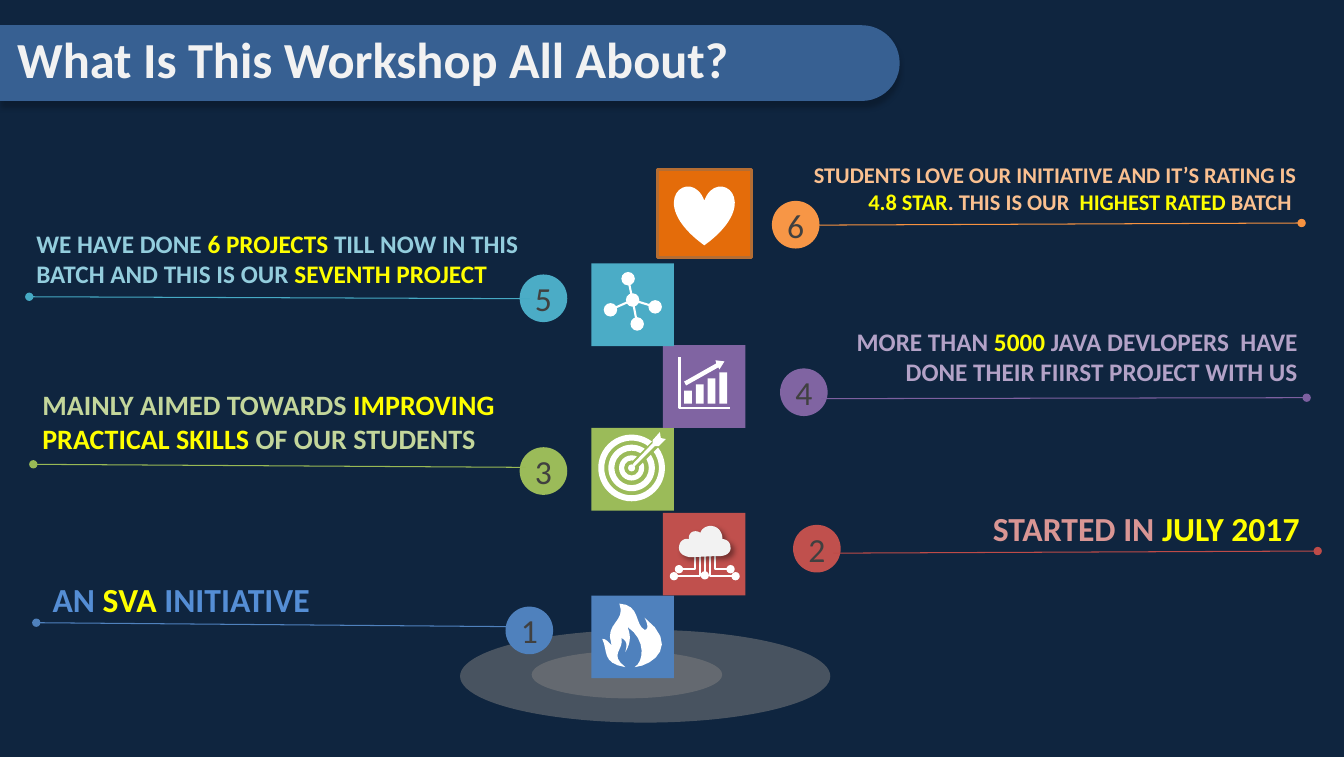
from collections import namedtuple

from lxml import etree
from pptx import Presentation
from pptx.dml.color import RGBColor
from pptx.enum.shapes import MSO_CONNECTOR, MSO_SHAPE
from pptx.enum.text import MSO_ANCHOR, MSO_AUTO_SIZE, PP_ALIGN
from pptx.oxml.ns import qn
from pptx.util import Pt

OVAL, RECT, DONUT = MSO_SHAPE.OVAL, MSO_SHAPE.RECTANGLE, MSO_SHAPE.DONUT
HEART, BANNER = MSO_SHAPE.HEART, MSO_SHAPE.ROUND_2_SAME_RECTANGLE
STRAIGHT = MSO_CONNECTOR.STRAIGHT
LEFT, RIGHT, CENTER = PP_ALIGN.LEFT, PP_ALIGN.RIGHT, PP_ALIGN.CENTER
TOP, MIDDLE = MSO_ANCHOR.TOP, MSO_ANCHOR.MIDDLE
NO_FIT = MSO_AUTO_SIZE.NONE

NAVY = RGBColor(0x0F, 0x25, 0x3F)
BANNER_BLUE = RGBColor(0x37, 0x60, 0x92)
OFF_WHITE = RGBColor(0xF2, 0xF2, 0xF2)
WHITE = RGBColor(0xFF, 0xFF, 0xFF)
YELLOW = RGBColor(0xFF, 0xFF, 0x00)
GRAY = RGBColor(0x80, 0x80, 0x80)
DARK_GRAY = RGBColor(0x40, 0x40, 0x40)
BLUE, LIGHT_BLUE = RGBColor(0x4F, 0x81, 0xBD), RGBColor(0x55, 0x8E, 0xD5)
RED, LIGHT_RED = RGBColor(0xC0, 0x50, 0x4D), RGBColor(0xD9, 0x96, 0x94)
RED_LINE = RGBColor(0xBE, 0x4B, 0x48)
GREEN, LIGHT_GREEN = RGBColor(0x9B, 0xBB, 0x59), RGBColor(0xC3, 0xD6, 0x9B)
GREEN_LINE = RGBColor(0x98, 0xB9, 0x55)
PURPLE, LIGHT_PURPLE = RGBColor(0x80, 0x64, 0xA2), RGBColor(0xB3, 0xA2, 0xC7)
PURPLE_LINE = RGBColor(0x7D, 0x60, 0xA0)
TEAL, LIGHT_TEAL = RGBColor(0x4B, 0xAC, 0xC6), RGBColor(0x93, 0xCD, 0xDD)
TEAL_LINE = RGBColor(0x46, 0xAA, 0xC4)
ORANGE, LIGHT_ORANGE = RGBColor(0xF7, 0x96, 0x46), RGBColor(0xFA, 0xC0, 0x90)
ORANGE_LINE = RGBColor(0xF6, 0x92, 0x40)
DEEP_ORANGE, BROWN = RGBColor(0xE4, 0x6C, 0x0A), RGBColor(0xB4, 0x6D, 0x33)

Step = namedtuple("Step", "fill rule light badge start dot box size align text")
STEPS = [
    Step(BLUE, BLUE, LIGHT_BLUE, (360.7, 432.7), (371.5, 447.1), (25.9, 444.2),
         (28.8, 409.7, 195.8, 31), 24, RIGHT, "AN |SVA| INITIATIVE "),
    Step(RED, RED_LINE, LIGHT_RED, (565.9, 374.4), (594.7, 394.6), (940.3, 393.1),
         (561.6, 358.6, 369.4, 31), 24, RIGHT, "STARTED IN |JULY 2017"),
    Step(GREEN, GREEN_LINE, LIGHT_GREEN, (370.8, 319), (375.1, 333.4), (23.8, 331.2),
         (26.6, 272.9, 375.8, 51), 20, LEFT,
         "MAINLY AIMED TOWARDS |IMPROVING PRACTICAL SKILLS |OF OUR STUDENTS"),
    Step(PURPLE, PURPLE_LINE, LIGHT_PURPLE, (556.6, 262.8), (586.1, 284.4), (932.4, 283.7),
         (560.2, 229, 369.4, 49), 18, RIGHT,
         "MORE THAN |5000| JAVA DEVLOPERS  HAVE DONE THEIR FIIRST PROJECT WITH US"),
    Step(TEAL, TEAL_LINE, LIGHT_TEAL, (370.8, 195.8), (378, 213.1), (20.9, 211.7),
         (22.3, 159.1, 369.4, 51), 18, LEFT,
         "WE HAVE DONE |6 PROJECTS |TILL NOW IN THIS BATCH AND THIS IS OUR |SEVENTH PROJECT"),
    Step(ORANGE, ORANGE_LINE, LIGHT_ORANGE, (550.8, 143.3), (583.2, 160.6), (928.8, 159.1),
         (561.6, 111.6, 367.2, 44), 16, RIGHT,
         "STUDENTS LOVE OUR INITIATIVE AND IT’S RATING IS |4.8 STAR|. THIS IS OUR  "
         "|HIGHEST RATED |BATCH "),
]
TILES = [(421.9, 424.8, BLUE), (473, 365.8, RED), (421.9, 305.3, GREEN),
         (473, 246.2, PURPLE), (421.9, 187.9, TEAL)]
FLAME = [(23, 63), (-1, 59, 6, 47, 0, 35), (5, 34, 11, 45, 9, 40), (2, 19, 24, 18, 17, 0),
         (38, 1, 32, 21, 42, 26), (44, 26, 47, 24, 42, 14), (76, 40, 52, 61, 32, 63),
         (41, 58, 44, 36, 25, 23), (30, 35, 26, 42, 23, 48), (23, 45, 27, 38, 19, 34),
         (22, 46, 6, 50, 23, 63)]
CLOUD = [(32, 0), (41, 1, 43, 9, 43, 13), (51, 14, 51, 20, 51, 23), (50, 29, 43, 30, 40, 30),
         (30, 30, 20, 31, 10, 31), (6, 30, 3, 29, 1, 26), (-1, 23, 0, 19, 1, 17),
         (2, 15, 5, 12, 10, 13), (9, 10, 11, 7, 13, 6), (15, 5, 19, 5, 21, 7),
         (22, 4, 25, 0, 32, 0)]
TREND_ARROW = [(510.5, 257), (517, 257.8), (513.4, 263.5), (512.6, 262.1), (489.6, 275),
               (488.2, 272.2), (511.2, 259.2)]
DART = [(451.4, 331.2), (465.8, 316.1), (465.8, 313.9), (470.9, 308.2), (471.6, 312.5),
        (475.2, 313.2), (470.2, 318.2), (467.3, 318.2), (452.9, 332.6)]


def trace_curve(left, top, outline, unit=0.72, parts=8):
    points = [outline[0]]
    for bend in outline[1:]:
        controls = [points[-1], bend[:2], bend[2:4], bend[4:]]
        for part in range(1, parts + 1):
            t = part / parts
            weights = ((1 - t) ** 3, 3 * t * (1 - t) ** 2, 3 * t * t * (1 - t), t ** 3)
            points.append(tuple(sum(w * c[axis] for w, c in zip(weights, controls))
                                for axis in (0, 1)))
    return [(left + x * unit, top + y * unit) for x, y in points]


class SlideMaker:
    font = "Calibri"

    def __init__(self, page):
        self.page = page
        self.shapes = page.shapes

    def paint(self, shape, fill=None, line=None, width=1):
        shape.shadow.inherit = False
        if fill is None:
            shape.fill.background()
        else:
            shape.fill.solid()
            shape.fill.fore_color.rgb = fill
        if line is None:
            shape.line.fill.background()
        else:
            shape.line.color.rgb = line
            shape.line.width = Pt(width)
        return shape

    def shape(self, kind, left, top, width, height, fill, line=None, line_width=1):
        shape = self.shapes.add_shape(kind, Pt(left), Pt(top), Pt(width), Pt(height))
        return self.paint(shape, fill, line, line_width)

    def disc(self, x, y, radius, fill, kind=OVAL):
        return self.shape(kind, x - radius, y - radius, 2 * radius, 2 * radius, fill)

    def outline(self, points, fill=None, line=None, width=1):
        places = [(Pt(x), Pt(y)) for x, y in points]
        builder = self.shapes.build_freeform(*places[0])
        builder.add_line_segments(places[1:], close=fill is not None)
        return self.paint(builder.convert_to_shape(), fill, line, width)

    def line(self, start, end, color, width):
        line = self.shapes.add_connector(STRAIGHT, *(Pt(value) for value in start + end))
        line.line.color.rgb = color
        line.line.width = Pt(width)
        etree.SubElement(line._element.spPr, qn("a:effectLst"))
        return line

    def end_dot(self, shape):
        etree.SubElement(shape._element.spPr.find(qn("a:ln")), qn("a:tailEnd"), type="oval")

    def set_alpha(self, color, percent):
        etree.SubElement(color, qn("a:alpha"), val=str(percent * 1000))

    def cast_shadow(self, shape, percent, blur, distance, angle):
        effects = shape._element.spPr.find(qn("a:effectLst"))
        shadow = etree.SubElement(effects, qn("a:outerShdw"), blurRad=str(Pt(blur)),
                                  dist=str(Pt(distance)), dir=str(angle * 60000))
        self.set_alpha(etree.SubElement(shadow, qn("a:srgbClr"), val="000000"), percent)

    def set_text(self, shape, text, size, color, align, anchor=TOP, inset=3.6, wrap=True, bold=True):
        frame = shape.text_frame
        frame.auto_size = NO_FIT
        frame.word_wrap = wrap
        frame.vertical_anchor = anchor
        frame.margin_left = frame.margin_right = Pt(inset)
        frame.margin_top = frame.margin_bottom = Pt(inset)
        para = frame.paragraphs[0]
        para.alignment = align
        para.font.name, para.font.size, para.font.bold = self.font, Pt(size), bold
        for index, part in enumerate(text.split("|")):
            span = para.add_run()
            span.text = part
            span.font.color.rgb = YELLOW if index % 2 else color

    def text(self, box, *style):
        self.set_text(self.shapes.add_textbox(*(Pt(value) for value in box)), *style)

    def title(self, text, left, top, width, height):
        title = self.shapes.title
        title.left, title.top, title.width, title.height = map(Pt, (left, top, width, height))
        self.set_text(title, text, 36, OFF_WHITE, LEFT, wrap=False)
        self.shapes._spTree.append(title._element)

    def step(self, number, step):
        badge = self.shape(OVAL, *step.badge, 34, 34, step.fill)
        self.set_text(badge, str(number), 24, DARK_GRAY, CENTER, MIDDLE, 0, False, False)
        self.end_dot(self.line(step.start, step.dot, step.rule, 0.75))
        self.text(step.box, step.text, step.size, step.light, step.align)

    def cloud_icon(self, x=502.9):
        self.end_dot(self.line((x, 391.7), (x, 410.4), WHITE, 1.5))
        for side in (-1, 1):
            for near, far, top, bottom in ((7.2, 18.4, 396, 406), (3.6, 22, 394.6, 411)):
                wire = [(x + side * near, top), (x + side * near, bottom), (x + side * far, bottom)]
                self.end_dot(self.outline(wire, line=WHITE, width=1.5))
        cloud = self.outline(trace_curve(484.6, 375.1, CLOUD), OFF_WHITE)
        self.cast_shadow(cloud, 40, 4, 3, 45)

    def target_icon(self, x=450.7, y=333.8):
        for radius, band in ((23.8, 4.3), (16.6, 4.3), (9, 3.6)):
            self.disc(x, y, radius, WHITE, DONUT).adjustments[0] = band / (2 * radius)
        self.line((x, y), (470.9, 313.6), GREEN, 6)
        self.disc(x, y, 2.5, WHITE)
        self.outline(DART, WHITE)

    def chart_icon(self):
        self.outline([(484.9, 254.9), (484.9, 290.9), (520.6, 290.9)], line=WHITE, width=1.75)
        for bar in range(4):
            height = 9.4 + 4.32 * bar
            self.shape(RECT, 488.2 + 8.4 * bar, 288 - height, 5.5, height, WHITE)
        self.outline(TREND_ARROW, WHITE)

    def network_icon(self, hub=(451.4, 214)):
        self.disc(*hub, 4.8, WHITE)
        for node in ((448.2, 198.8), (467.5, 218.9), (435.6, 221), (454.7, 231.1)):
            self.line(hub, node, WHITE, 1.5)
            self.disc(*node, 4.8, WHITE)


def main():
    deck = Presentation()
    deck.slide_width, deck.slide_height = Pt(959.04), Pt(540)
    page = deck.slides.add_slide(deck.slide_layouts[5])
    page.background.fill.solid()
    page.background.fill.fore_color.rgb = NAVY
    maker = SlideMaker(page)
    for place in ((328.3, 449.3, 264.2, 66.2), (379.4, 464.4, 136, 33.8)):
        base = maker.shape(OVAL, *place, GRAY)
        maker.set_alpha(base._element.spPr.find(qn("a:solidFill"))[0], 51)
    for left, top, fill in TILES:
        maker.shape(RECT, left, top, 59, 59, fill)
    maker.shape(RECT, 469.4, 121, 67, 62.6, DEEP_ORANGE, BROWN, 2)
    for number, step in enumerate(STEPS, 1):
        maker.step(number, step)
    maker.outline(trace_curve(429.8, 430.6, FLAME), WHITE)
    maker.cloud_icon()
    maker.target_icon()
    maker.chart_icon()
    maker.network_icon()
    maker.shape(HEART, 481, 132.5, 43.2, 42.5, WHITE)
    banner = maker.shape(BANNER, 294, -276, 54, 642, BANNER_BLUE)
    banner.rotation = 90
    banner.adjustments[0] = 0.5
    maker.cast_shadow(banner, 22, 4, 4, 90)
    maker.title("What Is This Workshop All About?", 8.6, 16.6, 516, 43)
    deck.save("out.pptx")


if __name__ == "__main__":
    main()
